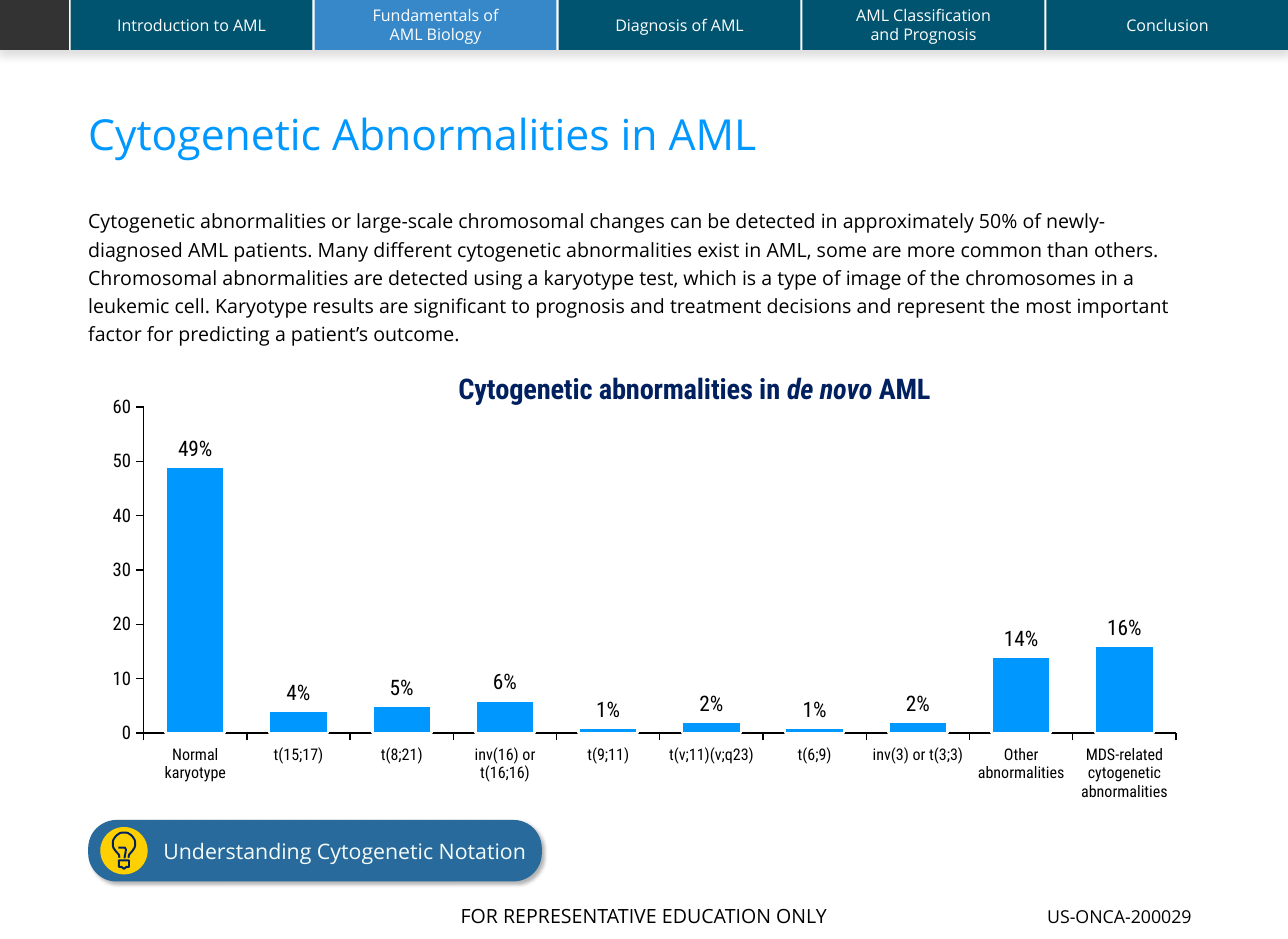
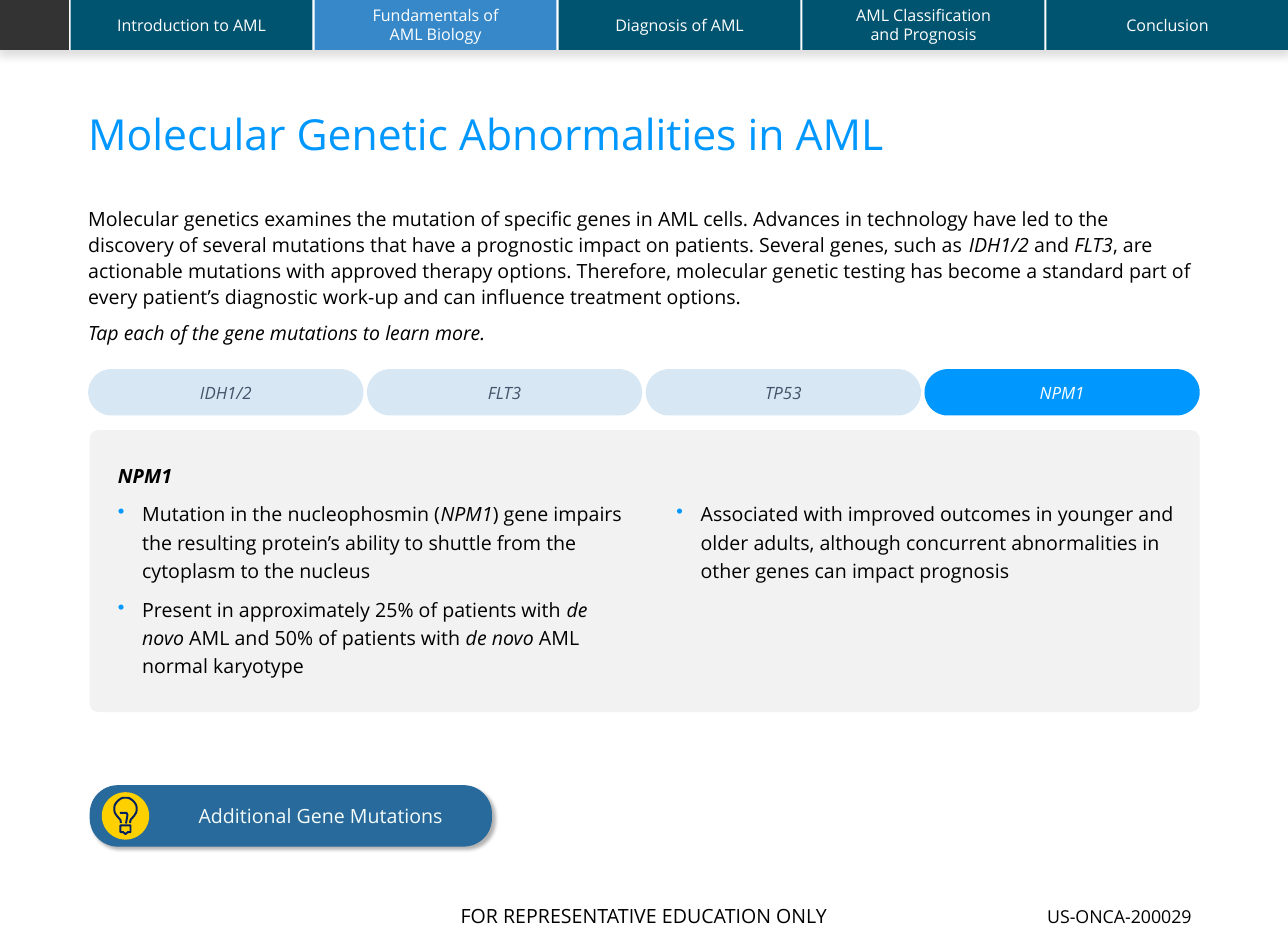
from math import cos, radians, sin

from lxml import etree
from pptx import Presentation
from pptx.chart.data import CategoryChartData
from pptx.dml.color import RGBColor
from pptx.enum.chart import XL_CHART_TYPE, XL_LABEL_POSITION, XL_TICK_MARK
from pptx.enum.shapes import MSO_SHAPE
from pptx.enum.text import MSO_ANCHOR, PP_ALIGN
from pptx.oxml.ns import qn
from pptx.util import Cm, Pt

RECTANGLE = MSO_SHAPE.RECTANGLE
ROUNDED = MSO_SHAPE.ROUNDED_RECTANGLE
PILL = MSO_SHAPE.ROUND_2_SAME_RECTANGLE
CIRCLE = MSO_SHAPE.OVAL
MIDDLE = MSO_ANCHOR.MIDDLE
CENTER = PP_ALIGN.CENTER
COLUMNS = XL_CHART_TYPE.COLUMN_CLUSTERED
OUTSIDE_END = XL_LABEL_POSITION.OUTSIDE_END
TICK_OUTSIDE = XL_TICK_MARK.OUTSIDE

COLORS = {
    "white": "FFFFFF", "black": "000000", "blue": "0098FF", "navy": "002060",
    "teal": "005470", "active": "3688C8", "charcoal": "333333", "button": "286A9B",
    "button text": "F4FCF9", "yellow": "FFD000", "panel": "F2F2F2",
    "pale": "D7E7F4", "slate": "44546A",
}
RGB = {name: RGBColor.from_string(value) for name, value in COLORS.items()}
TEXT_FONT = "Open Sans"
CHART_FONT = "Roboto Condensed"
WIDTH, HEIGHT = 25.55, 18.62
MARGIN, CONTENT_WIDTH = 1.75, 22.02


def add_box(page, kind, at, fill=None, corners=(), shadow=None):
    lengths = [Cm(value) for value in at]
    if kind is None:
        return page.shapes.add_textbox(*lengths)
    box = page.shapes.add_shape(kind, *lengths)
    box.shadow.inherit = False
    box.fill.solid()
    box.fill.fore_color.rgb = RGB[fill]
    box.line.fill.background()
    for index, corner in enumerate(corners):
        box.adjustments[index] = corner
    if shadow:
        opacity, blur, distance, angle = shadow
        effects = box._element.spPr.find(qn("a:effectLst"))
        outer = etree.SubElement(effects, qn("a:outerShdw"), {
            "blurRad": str(Pt(blur)), "dist": str(Pt(distance)),
            "dir": str(angle * 60000), "algn": "ctr", "rotWithShape": "0"})
        color = etree.SubElement(outer, qn("a:srgbClr"), val=COLORS["black"])
        etree.SubElement(color, qn("a:alpha"), val=str(opacity * 1000))
    return box


def write_text(frame, texts, size, color="black", font=TEXT_FONT, bold=False,
               bullets=False, frame_format=None, para_format=None):
    margins = dict.fromkeys(("margin_left", "margin_top", "margin_right", "margin_bottom"), 0)
    for name, value in {"word_wrap": True, **margins, **(frame_format or {})}.items():
        setattr(frame, name, value)
    for number, text in enumerate(texts):
        para = frame.add_paragraph() if number else frame.paragraphs[0]
        if bullets:
            properties = para._p.get_or_add_pPr()
            properties.set("marL", str(Cm(0.48)))
            properties.set("indent", str(Cm(-0.48)))
            bullet_color = etree.SubElement(properties, qn("a:buClr"))
            etree.SubElement(bullet_color, qn("a:srgbClr"), val=COLORS["blue"])
            etree.SubElement(properties, qn("a:buChar"), char="•")
        for name, value in (para_format or {}).items():
            setattr(para, name, value)
        for piece_number, piece in enumerate(text.split("*")):
            for line_number, line in enumerate(piece.split("\n")):
                if line_number:
                    para.add_line_break()
                if line:
                    span = para.add_run()
                    span.text = line
                    span.font.color.rgb = RGB[color]
                    style = {"name": font, "size": Pt(size), "bold": bold,
                             "italic": piece_number % 2 == 1}
                    for name, value in style.items():
                        setattr(span.font, name, value)


SECTIONS = ["Introduction to AML", "Fundamentals of\nAML Biology", "Diagnosis of AML",
            "AML Classification\nand Prognosis", "Conclusion"]
CENTERED = {"frame_format": {"vertical_anchor": MIDDLE}, "para_format": {"alignment": CENTER}}

PAGES = [
    {
        "title": "Cytogenetic Abnormalities in AML",
        "body": [
            "Cytogenetic abnormalities or large-scale chromosomal changes can be detected in "
            "approximately 50% of newly-diagnosed AML patients. Many different cytogenetic "
            "abnormalities exist in AML, some are more common than others. Chromosomal "
            "abnormalities are detected using a karyotype test, which is a type of image of the "
            "chromosomes in a leukemic cell. Karyotype results are significant to prognosis and "
            "treatment decisions and represent the most important factor for predicting a "
            "patient’s outcome."],
        "spacing": {"line_spacing": 1.2, "space_after": Pt(3)},
        "button": ("Understanding Cytogenetic Notation", 12, 1.75, 16.26, 9),
    },
    {
        "title": "Molecular Genetic Abnormalities in AML",
        "body": [
            "Molecular genetics examines the mutation of specific genes in AML cells. Advances in "
            "technology have led to the discovery of several mutations that have a prognostic "
            "impact on patients. Several genes, such as *IDH1/2* and *FLT3*, are actionable "
            "mutations with approved therapy options. Therefore, molecular genetic testing has "
            "become a standard part of every patient’s diagnostic work-up and can influence "
            "treatment options.",
            "*Tap each of the gene mutations to learn more.*"],
        "spacing": {"line_spacing": 1.1, "space_after": Pt(6)},
        "button": ("Additional Gene Mutations", 11, 1.78, 15.57, 7.98),
    },
]

bulb_glass = [(14, 52), (13, 46)]
bulb_glass += [(23 + 22 * cos(radians(angle)), 24 + 22 * sin(radians(angle)))
               for angle in range(140, 401, 10)]
bulb_glass += [(33, 46), (32, 52)]
bulb_filament = [(12, 32), (25, 32), (27, 36), (24, 53)]
bulb_base = [(13, 57), (33, 57), (33, 70), (28, 70), (23, 74), (18, 70), (13, 70), (13, 57)]

deck = Presentation()
deck.slide_width = Cm(WIDTH)
deck.slide_height = Cm(HEIGHT)
pages = []

for content in PAGES:
    page = deck.slides.add_slide(deck.slide_layouts[6])
    pages.append(page)

    footer = add_box(page, RECTANGLE, (0, 17.7, WIDTH, 0.92), "white")
    write_text(footer.text_frame, ["FOR REPRESENTATIVE EDUCATION ONLY"], 11, **CENTERED)
    code = add_box(page, None, (20.45, 17.96, 3.51, 0.43))
    write_text(code.text_frame, ["US-ONCA-200029"], 10, para_format={"alignment": CENTER})

    add_box(page, RECTANGLE, (0, 0, WIDTH, 0.99), "white", shadow=(13, 4, 3, 90))
    add_box(page, RECTANGLE, (0, 0, 1.37, 0.99), "charcoal")
    for index, section in enumerate(SECTIONS):
        fill = "active" if index == 1 else "teal"
        tab = add_box(page, RECTANGLE, (1.4 + 4.84 * index, 0, 4.8, 0.99), fill)
        write_text(tab.text_frame, [section], 9, "white", **CENTERED)

    title = add_box(page, None, (MARGIN, 2.26, CONTENT_WIDTH, 0.92))
    write_text(title.text_frame, [content["title"]], 24, "blue",
               para_format={"line_spacing": 0.9})
    body = add_box(page, None, (MARGIN, 4.06, CONTENT_WIDTH, 2.9))
    write_text(body.text_frame, content["body"], 11, para_format=content["spacing"])

    label, size, left, top, width = content["button"]
    button = add_box(page, ROUNDED, (left, top, width, 1.22), "button", [0.46], (30, 2, 2, 45))
    write_text(button.text_frame, [label], size, "button text",
               frame_format={"margin_left": Cm(1.19), "vertical_anchor": MIDDLE})
    add_box(page, CIRCLE, (left + 0.24, top + 0.14, 0.94, 0.94), "yellow")
    builder = page.shapes.build_freeform(*bulb_glass[0], scale=Cm(1) / 100)
    builder.add_line_segments(bulb_glass[1:], close=False)
    for stroke in (bulb_filament, bulb_base):
        builder.move_to(*stroke[0])
        builder.add_line_segments(stroke[1:], close=False)
    bulb = builder.convert_to_shape(Cm(left + 0.48), Cm(top + 0.23))
    bulb.shadow.inherit = False
    bulb.fill.background()
    bulb.line.color.rgb = RGB["navy"]
    bulb.line.width = Pt(1.1)

cytogenetic_page, molecular_page = pages

chart_data = CategoryChartData(number_format='0"%"')
chart_data.categories = [
    "Normal karyotype", "t(15;17)", "t(8;21)", "inv(16) or t(16;16)", "t(9;11)",
    "t(v;11)(v;q23)", "t(6;9)", "inv(3) or t(3;3)", "Other abnormalities",
    "MDS-related cytogenetic abnormalities"]
chart_data.add_series("Series 1", [49, 4, 5, 6, 1, 2, 1, 2, 14, 16])
chart = cytogenetic_page.shapes.add_chart(
    COLUMNS, Cm(MARGIN), Cm(6.43), Cm(CONTENT_WIDTH), Cm(9.65), chart_data).chart
chart.has_legend = False
chart.has_title = True
write_text(chart.chart_title.text_frame, ["Cytogenetic abnormalities in *de novo* AML"],
           16, "navy", CHART_FONT, bold=True)

plot = chart.plots[0]
plot.gap_width = 75
plot.vary_by_categories = False
plot.has_data_labels = True
labels = plot.data_labels
label_format = {"show_value": True, "position": OUTSIDE_END,
                "number_format": '0"%"', "number_format_is_linked": False}
for name, value in label_format.items():
    setattr(labels, name, value)
bars = plot.series[0].format
bars.fill.solid()
bars.fill.fore_color.rgb = RGB["blue"]
bars.line.color.rgb = RGB["white"]
bars.line.width = Pt(1.5)

value_axis, category_axis = chart.value_axis, chart.category_axis
value_format = {"minimum_scale": 0, "maximum_scale": 60, "major_unit": 10}
for name, value in value_format.items():
    setattr(value_axis, name, value)
value_axis.tick_labels.number_format = "0"
value_axis.tick_labels.number_format_is_linked = False
for axis in (value_axis, category_axis):
    axis.has_major_gridlines = False
    axis.major_tick_mark = TICK_OUTSIDE
    axis.format.line.color.rgb = RGB["black"]
    axis.format.line.width = Pt(0.75)
for font, size in ((chart.font, 10), (labels.font, 12),
                   (value_axis.tick_labels.font, 10.5), (category_axis.tick_labels.font, 9)):
    font.name = CHART_FONT
    font.size = Pt(size)
    font.color.rgb = RGB["black"]

plot_area = chart._chartSpace.chart.plotArea
chart_title = chart._chartSpace.chart.find(qn("c:title"))
LAYOUTS = [
    (plot_area, 0, {"layoutTarget": "inner", "xMode": "edge", "yMode": "edge",
                    "x": 0.05, "y": 0.17, "w": 0.93, "h": 0.67}),
    (chart_title, 1, {"xMode": "edge", "yMode": "edge", "x": 0.33, "y": 0.09}),
]
for holder, position, values in LAYOUTS:
    for previous in holder.findall(qn("c:layout")):
        holder.remove(previous)
    layout = etree.Element(qn("c:layout"))
    holder.insert(position, layout)
    manual = etree.SubElement(layout, qn("c:manualLayout"))
    for name, value in values.items():
        etree.SubElement(manual, qn("c:" + name), val=str(value))

add_box(molecular_page, ROUNDED, (1.78, 8.53, CONTENT_WIDTH, 5.59), "panel", [0.03])
GENE_TEXTS = [
    (2.34, 9.1, ["*NPM1*"], True),
    (2.34, 9.87, [
        "Mutation in the nucleophosmin (*NPM1*) gene impairs the resulting protein’s ability to "
        "shuttle from the cytoplasm to the nucleus",
        "Present in approximately 25% of patients with *de novo *AML and 50% of patients with "
        "*de novo *AML normal karyotype"], False),
    (13.42, 9.87, [
        "Associated with improved outcomes in younger and older adults, although concurrent "
        "abnormalities in other genes can impact prognosis"], False),
]
for left, top, texts, heading in GENE_TEXTS:
    box = add_box(molecular_page, None, (left, top, 10.07, 0.7 if heading else 3.8))
    write_text(box.text_frame, texts, 11, bold=heading, bullets=not heading,
               para_format={"line_spacing": 1.2, "space_after": Pt(6)})

for index, gene in enumerate(["IDH1/2", "FLT3", "TP53", "NPM1"]):
    fill, color = ("blue", "white") if gene == "NPM1" else ("pale", "slate")
    pill = add_box(molecular_page, PILL, (MARGIN + 5.53 * index, 7.32, 5.46, 0.92),
                   fill, [0.5, 0.5])
    write_text(pill.text_frame, [f"*{gene}*"], 9.5, color, **CENTERED)

deck.save("out.pptx")
